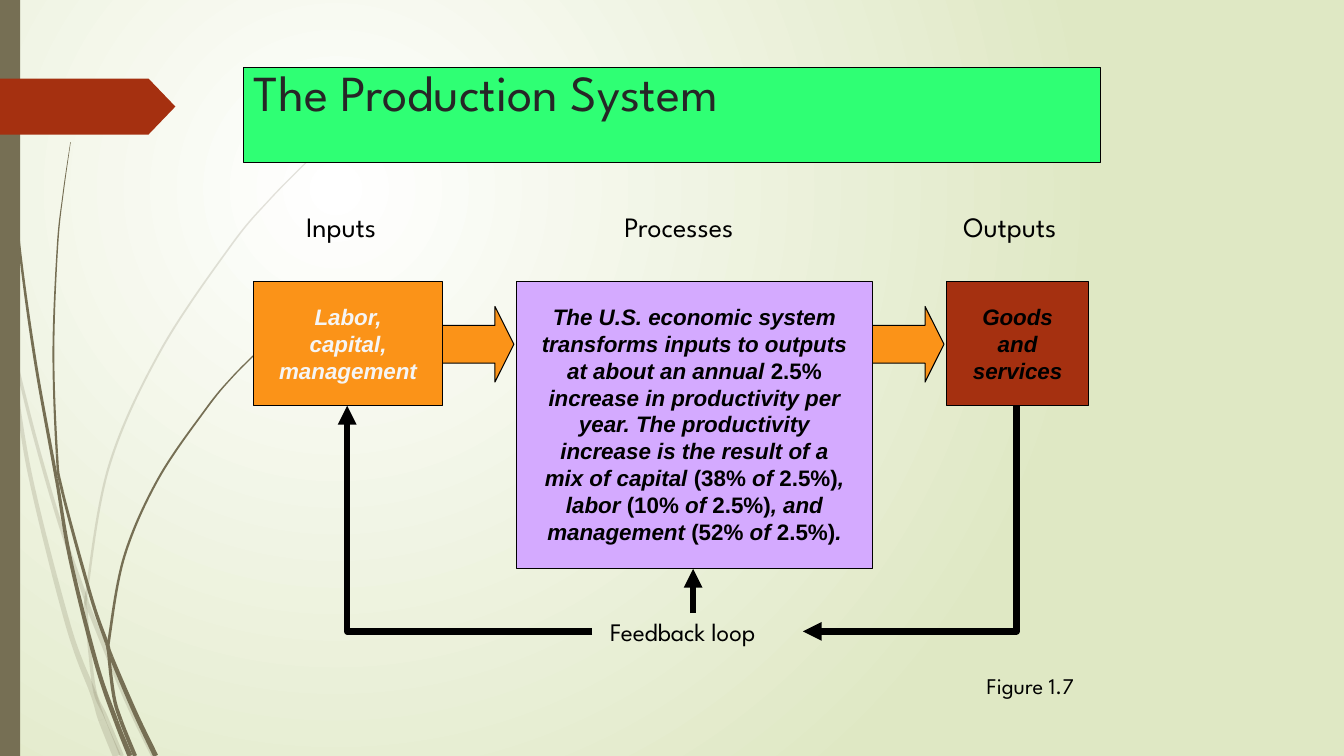
from math import hypot
from pptx import Presentation
from pptx.dml.color import RGBColor
from pptx.enum.shapes import MSO_CONNECTOR, MSO_SHAPE
from pptx.enum.text import MSO_ANCHOR, PP_ALIGN
from pptx.oxml import parse_xml
from pptx.oxml.ns import nsdecls, qn
from pptx.util import Inches, Pt

# The slide is a grid of square cells, ten to the inch.
COLS, ROWS = 133.33, 75
CELL = Inches(0.1)
HEAD, BODY = "League Spartan", "Arial"
COLORS = {
    "white": "FFFFFF", "lime": "DFE8C4", "olive": "766F54", "rust": "A53010",
    "orange": "FB9318", "violet": "D4AAFF", "green": "2FFF74",
    "black": "000000", "ink": "262626", "pale": "F5F5F5",
}
PROCESS = [
    ("The U.S. economic system transforms inputs to outputs at about an annual ", True),
    ("2.5%", False),
    (" increase in productivity per year. The productivity increase is the "
     "result of a mix of capital ", True),
    ("(38%", False), (" of ", True), ("2.5%)", False), (", labor ", True),
    ("(10%", False), (" of ", True), ("2.5%)", False), (", and management ", True),
    ("(52%", False), (" of ", True), ("2.5%)", False), (".", True),
]
# Each stem: centre points in cells, where it is cut into blades,
# start and end width, percent of opacity.
STEMS = [
    ([(0, 29), (1.1, 35), (2.95, 46.95), (6.75, 62), (9.25, 68.8), (10.1, 71.4),
      (11.6, 75)], (1, 5), 0.2, 0.8, 20),
    ([(1.5, 35.5), (3.5, 43.5), (6, 52.1), (8.45, 59.2), (8.8, 60.3), (12.5, 69.3),
      (15.25, 75)], (3, 4), 0.3, 0.5, 20),
    ([(31.2, 15.3), (26.8, 19.75), (22.85, 24.45), (15.9, 34.85), (10.85, 46.15), (8.65, 58.4),
      (8.6, 61), (8.9, 64.6), (9.45, 68.7), (10.5, 71.1), (12.1, 75)], (5, 6, 8), 0.1, 0.4, 20),
    ([(0.35, 0), (0.45, 4.8), (0.75, 11), (1.8, 23.3), (3.45, 35.5), (5.6, 47.5), (7, 55.6),
      (9.55, 65.8), (11.5, 71.5), (12.9, 75)], (5, 8), 0.1, 0.5, 100),
    ([(7, 14.1), (6.25, 19.3), (5.7, 24.5), (5.3, 34.9), (5.65, 45), (6.2, 48.8), (9, 59.1),
      (10.6, 63.8), (11.05, 65.2), (13.4, 70.7), (15.45, 75)], (4, 5, 7, 8), 0.05, 0.5, 100),
    ([(26.05, 34.4), (23.1, 37.35), (20.45, 40.55), (15.7, 47.5), (12.35, 55.15), (10.85, 63.2),
      (10.8, 65), (11.3, 69.1), (12, 71.5), (13.4, 75)], (5, 6, 8), 0.1, 0.4, 100),
]


def emu(cells):
    return [round(n * CELL) for n in cells]


def paint(item, fill=None, line=None, size=0.75):
    item.shadow.inherit = False
    if fill:
        item.fill.solid()
        item.fill.fore_color.rgb = RGBColor.from_string(COLORS[fill])
    else:
        item.fill.background()
    if line:
        item.line.color.rgb = RGBColor.from_string(COLORS[line])
        item.line.width = Pt(size)
    else:
        item.line.fill.background()


def shape(slide, kind, box, fill, line=None):
    item = slide.shapes.add_shape(kind, *emu(box))
    paint(item, fill, line)
    return item


def write(item, text, size=16, font=HEAD, color="black", bold=False,
          align=PP_ALIGN.LEFT, inset=(1, 0.5), space=None):
    """Fill an item with text, given as a string or as (text, italic) pairs."""
    frame = item.text_frame
    frame.word_wrap = True
    frame.vertical_anchor = MSO_ANCHOR.TOP
    frame.margin_left = frame.margin_right = emu(inset)[0]
    frame.margin_top = frame.margin_bottom = emu(inset)[1]
    para = frame.paragraphs[0]
    para.alignment = align
    if space:
        para.line_spacing = space
    for part, slant in [(text, False)] if isinstance(text, str) else text:
        for i, row in enumerate(part.split("\n")):
            if i:
                para.add_line_break()
            run = para.add_run()
            run.text = row
            run.font.size, run.font.name = Pt(size), font
            run.font.bold, run.font.italic = bold, slant
            run.font.color.rgb = RGBColor.from_string(COLORS[color])


def label(slide, text, box, **style):
    write(slide.shapes.add_textbox(*emu(box)), text, **style)


def outline(slide, points, close):
    first, *rest = [emu(p) for p in points]
    pen = slide.shapes.build_freeform(*first)
    pen.add_line_segments(rest, close=close)
    return pen.convert_to_shape()


def bend(item):
    """Turn each three straight segments of an outline into one curve."""
    path = item._element.find(".//" + qn("a:path"))
    lines = path.findall(qn("a:lnTo"))
    for trio in zip(lines[::3], lines[1::3], lines[2::3]):
        curve = parse_xml(f'<a:cubicBezTo {nsdecls("a")}/>')
        trio[0].addprevious(curve)
        for line in trio:
            curve.append(line[0])
            path.remove(line)


def slopes(points):
    ends = [points[0], *points, points[-1]]
    return [(c[0] - a[0], c[1] - a[1]) for a, c in zip(ends, ends[2:])]


def edge(points, tilts):
    """Return the points of a smooth edge with two handles per step."""
    track = [points[0]]
    for p, q, s, t in zip(points, points[1:], tilts, tilts[1:]):
        track += [(p[0] + s[0] / 6, p[1] + s[1] / 6),
                  (q[0] - t[0] / 6, q[1] - t[1] / 6), q]
    return track


def stem(slide, points, cuts, thin, thick, alpha):
    """Draw a curved stem, cut into blades, that widens along its way."""
    tilts, last = slopes(points), len(points) - 1
    left, right = [], []
    for i, ((x, y), (dx, dy)) in enumerate(zip(points, tilts)):
        half = (thin + (thick - thin) * i / last) / 2 / hypot(dx, dy)
        left.append((x - dy * half, y + dx * half))
        right.append((x + dy * half, y - dx * half))
    for a, b in zip((0, *cuts), (*cuts, last)):
        part = slice(a, b + 1)
        there = edge(left[part], tilts[part])
        back = edge(right[part], tilts[part])[::-1]
        item = outline(slide, [*there, there[-1], back[0], *back], True)
        bend(item)
        paint(item, "olive")
        if alpha < 100:
            tone = item._element.spPr.find(qn("a:solidFill"))[0]
            tone.append(parse_xml(f'<a:alpha {nsdecls("a")} val="{alpha * 1000}"/>'))


def backdrop(slide):
    fill = slide.background.fill
    fill.gradient()
    for stop, name, place in zip(fill.gradient_stops, ("white", "lime"), (0, 1)):
        stop.color.rgb = RGBColor.from_string(COLORS[name])
        stop.position = place
    grad = slide._element.find(".//" + qn("a:gradFill"))
    grad.replace(grad.find(qn("a:lin")), parse_xml(
        f'<a:path {nsdecls("a")} path="circle">'
        '<a:fillToRect l="50000" t="50000" r="100000" b="100000"/></a:path>'))
    for parts in STEMS:
        stem(slide, *parts)
    shape(slide, MSO_SHAPE.RECTANGLE, (0, 0, 2, ROWS), "olive")
    tab = shape(slide, MSO_SHAPE.PENTAGON, (0, 7.8, 17.4, 5.55), "rust")
    tab.adjustments[0] = 0.48


def tip(item):
    line = item.line._get_or_add_ln()
    line.append(parse_xml(f'<a:tailEnd {nsdecls("a")} type="triangle"/>'))


def feedback(slide, box):
    """Lead the outputs back to the inputs along the foot of the box."""
    x, y, w, h = box
    right, foot, mid = x + w, y + h, x + 34.32
    routes = [[(right, y), (right, foot), (right - 21.2, foot)],
              [(x + 24.3, foot), (x, foot), (x, y)]]
    for route in routes:
        item = outline(slide, route, False)
        paint(item, line="black", size=4.5)
        tip(item)
    rise = slide.shapes.add_connector(
        MSO_CONNECTOR.STRAIGHT, *emu((mid, foot - 1.8, mid, foot - 6.2)))
    rise.line.color.rgb = RGBColor.from_string(COLORS["black"])
    rise.line.width = Pt(4.5)
    tip(rise)
    rise._element.spPr.append(parse_xml(f'<a:effectLst {nsdecls("a")}/>'))
    label(slide, "Feedback loop", (x + 25.1, foot - 1.93, 20.8, 4), size=18)


def stage(slide, box, title, wide, text, fill, color="black", arrow=True):
    """Draw one stage with its heading and the arrow that leads into it."""
    x, y, w, h = box
    if arrow:
        item = shape(slide, MSO_SHAPE.RIGHT_ARROW, (x - 7.85, y + 2.43, 7.6, 7.5), "orange", "black")
        item.adjustments[1] = 0.25
    label(slide, title, (x + (w - wide) / 2, y - 7.67, wide, 4.3), size=20)
    item = shape(slide, MSO_SHAPE.RECTANGLE, box, fill, "black")
    write(item, text, font=BODY, color=color, bold=True,
          align=PP_ALIGN.CENTER, inset=(2.2, 2.1))


def main():
    deck = Presentation()
    deck.slide_width, deck.slide_height = emu((COLS, ROWS))
    slide = deck.slides.add_slide(deck.slide_layouts[6])
    backdrop(slide)
    feedback(slide, (34.44, 40.25, 66.4, 22.38))
    stage(slide, (93.9, 27.97, 14.1, 12.28), "Outputs", 12.7,
          [("Goods and\nservices", True)], "rust")
    stage(slide, (51.23, 27.97, 35.33, 28.48), "Processes", 15.9, PROCESS, "violet")
    stage(slide, (25.13, 27.97, 18.8, 12.28), "Inputs", 10.3,
          [("Labor,\ncapital,\nmanagement", True)], "orange", "pale", arrow=False)
    title = shape(slide, MSO_SHAPE.RECTANGLE, (24.17, 6.7, 85, 9.4), "green", "black")
    write(title, "The Production System", size=36, color="ink", space=0.8)
    label(slide, "Figure 1.7", (96.9, 66.2, 12.5, 3.7))
    deck.save("out.pptx")


if __name__ == "__main__":
    main()
